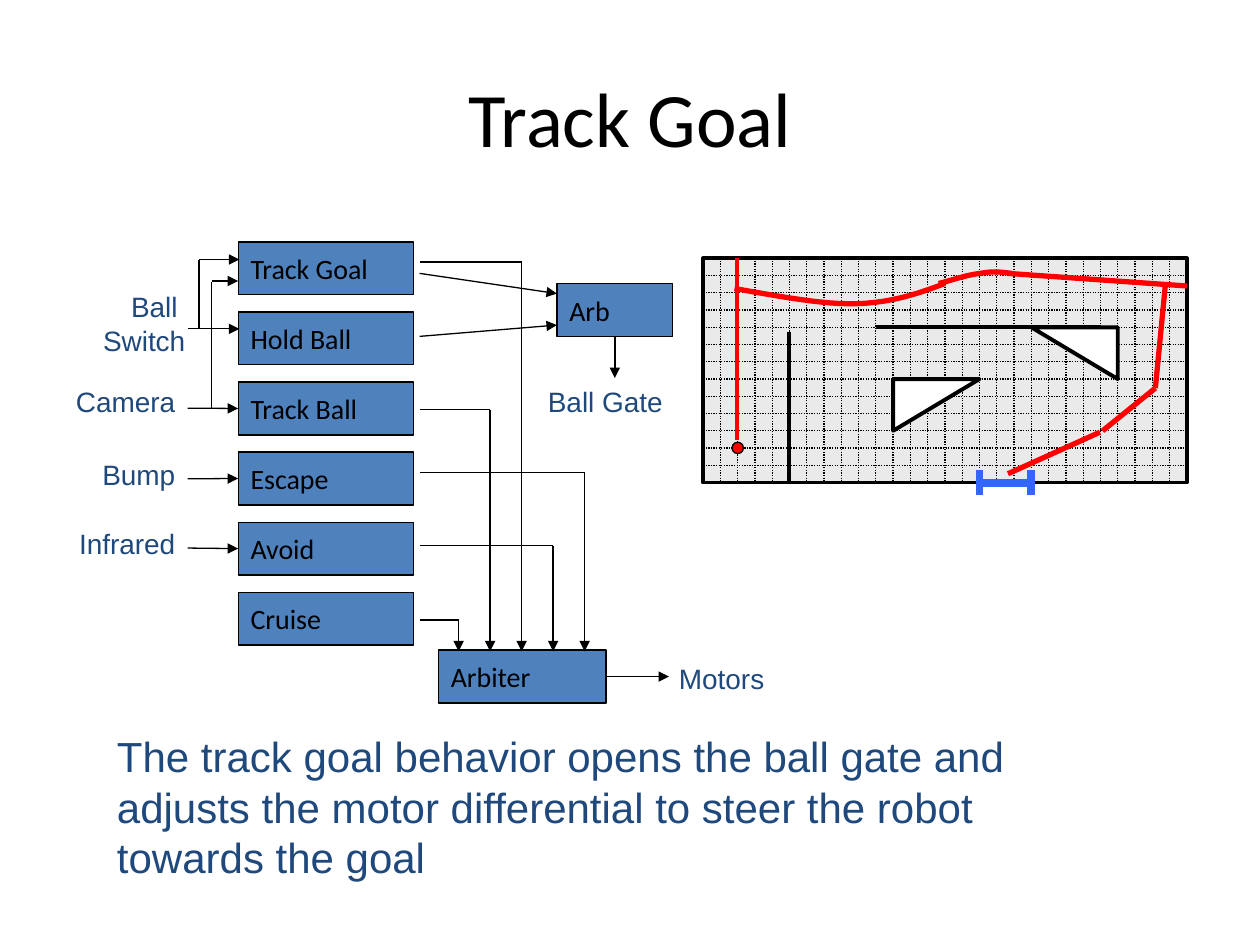
from lxml.etree import SubElement
from pptx import Presentation
from pptx.dml.color import RGBColor
from pptx.enum.dml import MSO_LINE
from pptx.enum.shapes import MSO_CONNECTOR, MSO_SHAPE
from pptx.enum.text import MSO_ANCHOR, PP_ALIGN
from pptx.oxml.ns import qn
from pptx.util import Inches, Pt

BLACK, NAVY, BLUE, RED, GOAL_BLUE = "000000", "1F497D", "4F81BD", "FF0000", "3366FF"

TITLE = "Track Goal"
SUMMARY = ("The track goal behavior opens the ball gate and adjusts the motor "
           "differential to steer the robot towards the goal")
BEHAVIORS = ["Track Goal", "Hold Ball", "Track Ball", "Escape", "Avoid", "Cruise"]
LABELS = [
    ("Ball \nSwitch", (0.71, 2.25, 0.86, 0.64), PP_ALIGN.RIGHT),
    ("Camera", (0.5, 3, 0.99, 0.37), PP_ALIGN.RIGHT),
    ("Bump", (0.71, 3.58, 0.78, 0.37), PP_ALIGN.RIGHT),
    ("Infrared", (0.52, 4.13, 0.97, 0.37), PP_ALIGN.RIGHT),
    ("Motors", (5.29, 5.2, 0.88, 0.37), PP_ALIGN.LEFT),
    ("Ball Gate", (4.25, 3, 1.25, 0.37), PP_ALIGN.LEFT),
]
SENSOR_INPUTS = [("Track Ball", 3.24), ("Escape", 3.8), ("Avoid", 4.35)]
ARBITER_INPUT_HEIGHTS = [4.92, 3.25, 2.08, 4.33, 3.75]
BRANCH_LINES = [((1.58, 2.06), (1.58, 2.61)), ((1.68, 2.24), (1.68, 3.24))]
BRANCH_ARROWS = [
    ((1.49, 2.61), (1.9, 2.61)),
    ((1.58, 2.06), (1.9, 2.06)),
    ((1.68, 2.23), (1.89, 2.23)),
    ((3.33, 2.67), (4.42, 2.58)),
    ((3.33, 2.17), (4.42, 2.33)),
]

FIELD_LEFT, FIELD_TOP, FIELD_WIDTH, FIELD_HEIGHT = 5.58, 2.05, 3.84, 1.78
COLUMNS, ROWS = 28, 13
WALLS = [((5, 4.25), (5, 13)), ((10, 4), (23, 4))]
OBSTACLES = [[(11, 10), (11, 7), (16, 7)], [(24, 7), (24, 4), (19, 4)]]
GOAL = [((16, 12.3), (16, 13.7)), ((19, 12.3), (19, 13.7)), ((16, 13), (19, 13))]
ROBOT_PATH = [
    ((8, 2.17), (9.42, 2.27)),
    ((9.25, 2.25), (9.17, 3.08)),
    ((9.17, 3.08), (8.75, 3.42)),
    ((8.73, 3.43), (8, 3.76)),
]
ROBOT_CURVES = [
    [(5.83, 2.29), (6.18, 2.35), (6.53, 2.42), (6.81, 2.41),
     (7.08, 2.4), (7.29, 2.33), (7.5, 2.25)],
    [(7.45, 2.25), (7.57, 2.22), (7.68, 2.18), (7.78, 2.17),
     (7.88, 2.15), (7.95, 2.16), (8.03, 2.17)],
]

prs = Presentation()
prs.slide_width, prs.slide_height = Inches(10), Inches(7.5)
slide = prs.slides.add_slide(prs.slide_layouts[6])


def color(value):
    return RGBColor.from_string(value)


def write(shape, text, size=16, font="Arial", ink=NAVY, align=PP_ALIGN.LEFT,
          anchor=MSO_ANCHOR.TOP, wrap=False):
    frame = shape.text_frame
    frame.word_wrap, frame.vertical_anchor = wrap, anchor
    frame.text = text
    for paragraph in frame.paragraphs:
        paragraph.alignment = align
        face = paragraph.font
        face.size, face.name = Pt(size), font
        face.color.rgb = color(ink)


def label(text, at, **style):
    write(slide.shapes.add_textbox(*map(Inches, at)), text, **style)


def paint(shape, fill, ink=BLACK, weight=0.75):
    shape.shadow.inherit = False
    if fill:
        shape.fill.solid()
        shape.fill.fore_color.rgb = color(fill)
    else:
        shape.fill.background()
    shape.line.color.rgb = color(ink)
    shape.line.width = Pt(weight)
    return shape


def preset(kind, at, fill, **style):
    return paint(slide.shapes.add_shape(kind, *map(Inches, at)), fill, **style)


def box(text, left, top, width):
    shape = preset(MSO_SHAPE.RECTANGLE, (left, top, width, 0.42), BLUE)
    write(shape, text, font="Calibri", ink=BLACK, anchor=MSO_ANCHOR.MIDDLE)
    return shape


def line(start, end, ink=BLACK, weight=0.75, dotted=False, arrow=False):
    link = slide.shapes.add_connector(MSO_CONNECTOR.STRAIGHT, *map(Inches, (*start, *end)))
    link.line.color.rgb = color(ink)
    link.line.width = Pt(weight)
    if dotted:
        link.line.dash_style = MSO_LINE.ROUND_DOT
    if arrow:
        SubElement(link.line._get_or_add_ln(), qn("a:tailEnd"), type="triangle")
    SubElement(link._element.spPr, qn("a:effectLst"))
    return link


def outline(points, fill=None, close=False, **style):
    start, *rest = [(Inches(x), Inches(y)) for x, y in points]
    builder = slide.shapes.build_freeform(*start)
    builder.add_line_segments(rest, close=close)
    return paint(builder.convert_to_shape(), fill, **style)


def cell(column, row):
    return (FIELD_LEFT + column * FIELD_WIDTH / COLUMNS,
            FIELD_TOP + row * FIELD_HEIGHT / ROWS)


def bezier(points, steps=12):
    curve = [points[0]]
    for i in range(0, len(points) - 1, 3):
        for t in (step / steps for step in range(1, steps + 1)):
            weights = (1 - t) ** 3, 3 * t * (1 - t) ** 2, 3 * t * t * (1 - t), t ** 3
            curve.append(tuple(sum(w * p[axis] for w, p in zip(weights, points[i:i + 4]))
                               for axis in (0, 1)))
    return curve


label(TITLE, (0.5, 0.3, 9, 1.25), size=44, font="Calibri", ink=BLACK,
      align=PP_ALIGN.CENTER, anchor=MSO_ANCHOR.MIDDLE, wrap=True)
label(SUMMARY, (0.83, 5.75, 8.25, 1.3), size=24, wrap=True)

preset(MSO_SHAPE.RECTANGLE, (FIELD_LEFT, FIELD_TOP, FIELD_WIDTH, FIELD_HEIGHT),
       "EAEAEA", weight=2.25)
for column in range(1, COLUMNS):
    line(cell(column, 0), cell(column, ROWS), dotted=True)
for row in range(1, ROWS):
    line(cell(0, row), cell(COLUMNS, row), dotted=True)
for start, end in WALLS:
    line(cell(*start), cell(*end), weight=2.25)
for corners in OBSTACLES:
    outline([cell(*corner) for corner in corners], "FFFFFF", close=True, weight=2.25)
for start, end in GOAL:
    line(cell(*start), cell(*end), ink=GOAL_BLUE, weight=4.5)
preset(MSO_SHAPE.OVAL, (5.81, 3.51, 0.09, 0.09), RED)
line((5.85, 3.49), (5.85, FIELD_TOP), ink=RED, weight=2.25)
for points in ROBOT_CURVES:
    outline(bezier(points), ink=RED, weight=3)
for start, end in ROBOT_PATH:
    line(start, end, ink=RED, weight=3)

behaviors = {name: box(name, 1.89, 1.92 + i * 0.556, 1.39)
             for i, name in enumerate(BEHAVIORS)}
arbiter = box("Arbiter", 3.48, 5.16, 1.33)
arb = box("Arb", 4.42, 2.25, 0.92)

for name, y in SENSOR_INPUTS:
    line((1.49, y), (1.89, y), arrow=True).end_connect(behaviors[name], 1)
for start, end in BRANCH_LINES:
    line(start, end)
for start, end in BRANCH_ARROWS:
    line(start, end, arrow=True)
for i, y in enumerate(ARBITER_INPUT_HEIGHTS):
    x = 3.64 + i * 0.25
    line((3.33, y), (x, y))
    line((x, y), (x, 5.17), arrow=True)
line((4.81, 5.37), (5.31, 5.37), arrow=True).begin_connect(arbiter, 3)
line((4.88, 2.67), (4.88, 3), arrow=True).begin_connect(arb, 2)

for text, at, align in LABELS:
    label(text, at, align=align)

prs.save("out.pptx")
